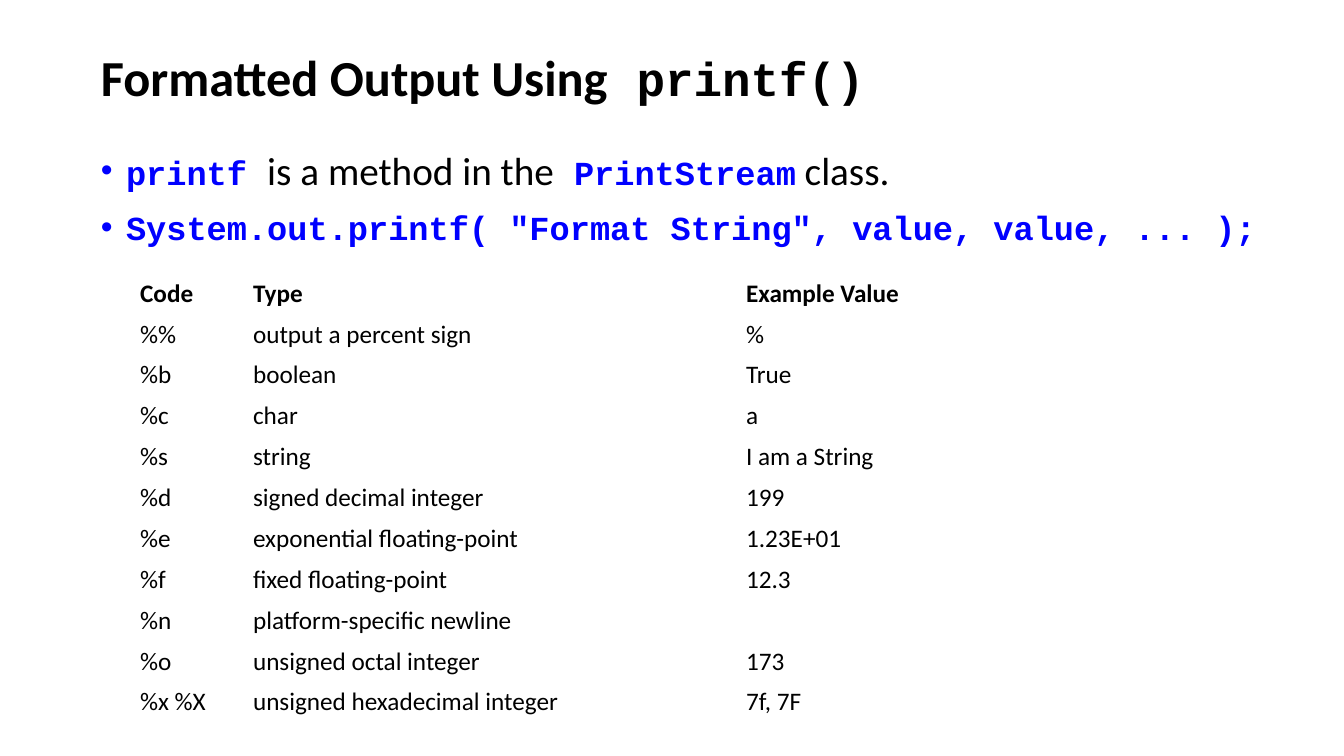
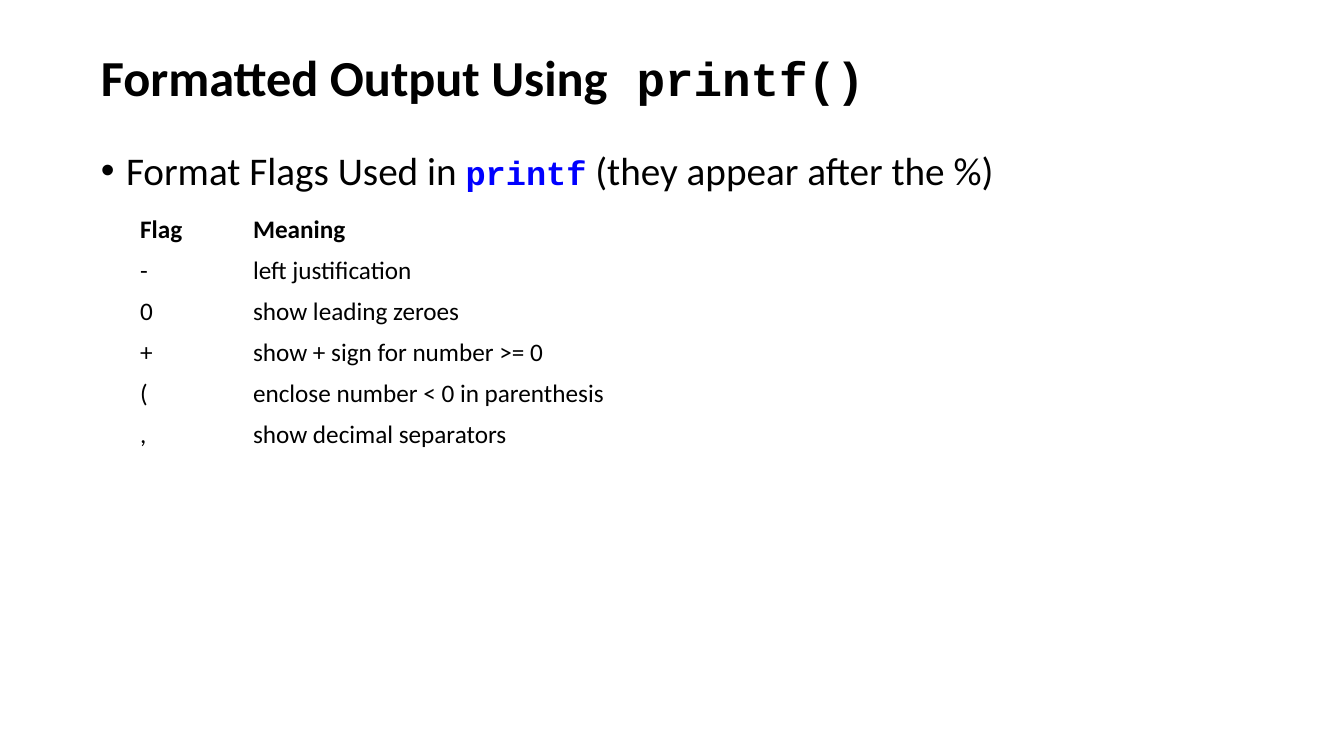
from dataclasses import dataclass

from pptx import Presentation
from pptx.dml.color import RGBColor
from pptx.enum.text import MSO_ANCHOR, MSO_AUTO_SIZE, PP_ALIGN
from pptx.oxml.xmlchemy import OxmlElement
from pptx.slide import Slide, SlideLayout
from pptx.util import Inches, Pt

LEFT = PP_ALIGN.LEFT
MIDDLE = MSO_ANCHOR.MIDDLE
NO_FIT = MSO_AUTO_SIZE.NONE

BLACK = "000000"
BLUE = "0000FF"
SANS = "Calibri"
MONO = "Courier New"

TITLE_BOX = (0.9, 0.4, 11.5, 0.8)
BODY_BOX = (0.9, 1.4, 12.43, 6.1)
TABLE_LEFT = 1.29
COLUMN_WIDTHS = (1.12, 4.89, 2.96)
BULLET_INDENT = 0.25


@dataclass(frozen=True)
class Span:
    text: str
    size: int = 28
    font: str = SANS
    color: str = BLACK
    bold: bool = False


@dataclass(frozen=True)
class Grid:
    top: float
    height: float
    rows: list[tuple[str, ...]]


@dataclass(frozen=True)
class Page:
    bullets: list[list[Span]]
    grid: Grid


def code(text: str) -> Span:
    return Span(text, 24, MONO, BLUE, True)


TITLE = [
    Span("Formatted Output Using", 36, bold=True),
    Span(" printf()", 34, MONO, bold=True),
]

PAGES = [
    Page(
        [
            [code("printf "), Span("is a method in the"),
             code(" PrintStream"), Span(" class.")],
            [code('System.out.printf( "Format String", value, value, ... );')],
        ],
        Grid(2.71, 4.46, [
            ("Code", "Type", "Example Value"),
            ("%%", "output a percent sign", "%"),
            ("%b", "boolean", "True"),
            ("%c", "char", "a"),
            ("%s", "string", "I am a String"),
            ("%d", "signed decimal integer", "199"),
            ("%e", "exponential floating-point", "1.23E+01"),
            ("%f", "fixed floating-point", "12.3"),
            ("%n", "platform-specific newline", ""),
            ("%o", "unsigned octal integer", "173"),
            ("%x %X", "unsigned hexadecimal integer", "7f, 7F"),
        ]),
    ),
    Page(
        [[Span("Format Flags Used in "), code("printf"),
          Span(" (they appear after the %)")]],
        Grid(2.08, 2.43, [
            ("Flag", "Meaning"),
            ("-", "left justification"),
            ("0", "show leading zeroes"),
            ("+", "show + sign for number >= 0"),
            ("(", "enclose number < 0 in parenthesis"),
            (",", "show decimal separators"),
        ]),
    ),
]


def rgb(color: str) -> RGBColor:
    return RGBColor.from_string(color)


def add_spans(p, spans: list[Span]) -> None:
    for span in spans:
        r = p.add_run()
        r.text = span.text
        r.font.size = Pt(span.size)
        r.font.name = span.font
        r.font.bold = span.bold
        r.font.color.rgb = rgb(span.color)


def set_bullet(p) -> None:
    pPr = p._p.get_or_add_pPr()
    pPr.set("marL", str(Inches(BULLET_INDENT)))
    pPr.set("indent", str(-Inches(BULLET_INDENT)))
    for tag, name, value in (("a:buFont", "typeface", "Arial"),
                             ("a:buChar", "char", "•")):
        mark = OxmlElement(tag)
        mark.set(name, value)
        pPr.append(mark)


def place_placeholders(layout: SlideLayout) -> None:
    for sp, box in zip(layout.placeholders, (TITLE_BOX, BODY_BOX)):
        sp.left, sp.top, sp.width, sp.height = map(Inches, box)
        sp.text_frame.auto_size = NO_FIT


def add_title(s: Slide) -> None:
    tf = s.shapes.title.text_frame
    tf.vertical_anchor = MIDDLE
    p = tf.paragraphs[0]
    p.alignment = LEFT
    p.line_spacing = 0.9
    add_spans(p, TITLE)


def add_bullets(s: Slide, bullets: list[list[Span]]) -> None:
    tf = s.placeholders[1].text_frame
    for i, spans in enumerate(bullets):
        p = tf.add_paragraph() if i else tf.paragraphs[0]
        p.space_before = Pt(10)
        set_bullet(p)
        add_spans(p, spans)


def add_grid(s: Slide, grid: Grid) -> None:
    widths = COLUMN_WIDTHS[:len(grid.rows[0])]
    frame = s.shapes.add_table(
        len(grid.rows), len(widths), Inches(TABLE_LEFT), Inches(grid.top),
        Inches(sum(widths)), Inches(grid.height))
    table = frame.table
    table.first_row = False
    table.horz_banding = False
    for column, width in zip(table.columns, widths):
        column.width = Inches(width)
    for i, row in enumerate(grid.rows):
        for j, text in enumerate(row):
            cell = table.cell(i, j)
            cell.fill.background()
            if text:
                add_spans(cell.text_frame.paragraphs[0],
                          [Span(text, 18, bold=i == 0)])


def main() -> None:
    prs = Presentation()
    prs.slide_width, prs.slide_height = Inches(13.33), Inches(7.5)
    layout = prs.slide_layouts[1]
    place_placeholders(layout)
    for page in PAGES:
        s = prs.slides.add_slide(layout)
        add_title(s)
        add_bullets(s, page.bullets)
        add_grid(s, page.grid)
    prs.save("out.pptx")


if __name__ == "__main__":
    main()
